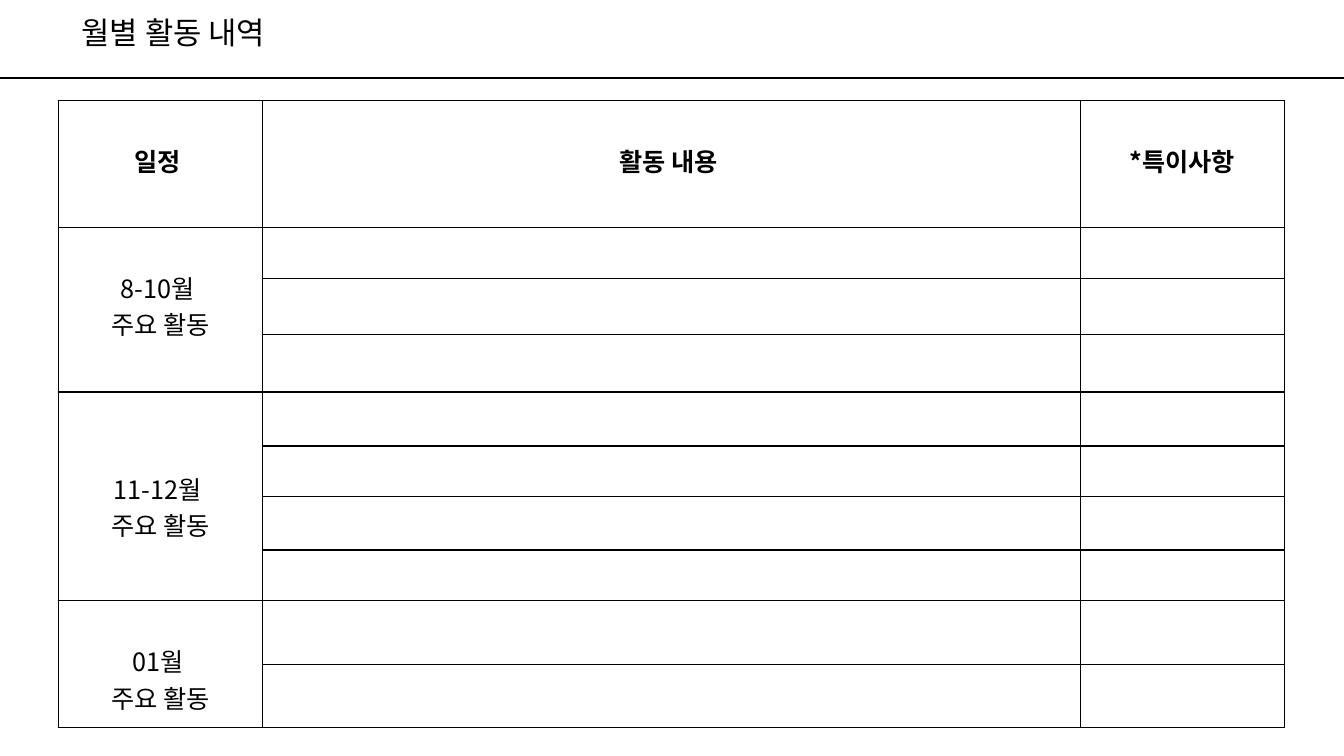
from lxml.etree import SubElement
from pptx import Presentation
from pptx.dml.color import RGBColor
from pptx.enum.shapes import MSO_CONNECTOR as Connector
from pptx.enum.text import MSO_ANCHOR as Anchor, PP_ALIGN as Align
from pptx.oxml.ns import qn
from pptx.util import Cm, Pt

FONT = "Noto Sans CJK KR"
BLACK, WHITE = "000000", "FFFFFF"
SLIDE_WIDTH, SLIDE_HEIGHT = 33.87, 19.05
COLUMN_WIDTHS = [5.15, 20.6, 5.15]
ROW_HEIGHTS = [3.2, 1.28, 1.41, 1.46, 1.36, 1.27, 1.35, 1.28, 1.6, 1.6]
HEADINGS = ["일정 ", "활동 내용 ", "*특이사항"]
# Period, number of rows, lines left free above the text
PERIODS = [("8-10월 ", 3, 1), ("11-12월 ", 4, 2), ("01월 ", 2, 1)]
CELL_MARGIN, LINE_HEIGHT = 0.13, 0.92


def color(code):
    return RGBColor.from_string(code)


class Page:
    def __init__(self, deck):
        self.slide = deck.slides.add_slide(deck.slide_layouts[6])
        self.text_color = color(BLACK)
        self.line_width = Pt(1)

    def add_words(self, para, words, size, bold=False):
        para.alignment = Align.CENTER
        span = para.add_run()
        span.text = words
        span.font.name = FONT
        span.font.size = Pt(size)
        span.font.bold = bold
        span.font.color.rgb = self.text_color
        SubElement(span.font._element, qn("a:ea"), typeface=FONT)

    def title(self, words, left, top, width, height):
        box = self.slide.shapes.add_textbox(Cm(left), Cm(top), Cm(width), Cm(height))
        box.text_frame.word_wrap = True
        para = box.text_frame.paragraphs[0]
        para.line_spacing = 0.9
        self.add_words(para, words, 22)

    def rule(self, top):
        line = self.slide.shapes.add_connector(
            Connector.STRAIGHT, 0, Cm(top), Cm(SLIDE_WIDTH), Cm(top))
        line.line.color.rgb = color(BLACK)
        line.line.width = self.line_width
        SubElement(line._element.spPr, qn("a:effectLst"))

    def table(self, left, top, widths, heights):
        frame = self.slide.shapes.add_table(
            len(heights), len(widths), Cm(left), Cm(top), Cm(sum(widths)), Cm(sum(heights)))
        table = frame.table
        for column, width in zip(table.columns, widths):
            column.width = Cm(width)
        for row, height in zip(table.rows, heights):
            row.height = Cm(height)
        for cell in table.iter_cells():
            self.border(cell)
            cell.fill.solid()
            cell.fill.fore_color.rgb = color(WHITE)
        return table

    def border(self, cell):
        properties = cell._tc.get_or_add_tcPr()
        for side in ("a:lnL", "a:lnR", "a:lnT", "a:lnB"):
            line = SubElement(properties, qn(side), w=str(self.line_width))
            fill = SubElement(line, qn("a:solidFill"))
            SubElement(fill, qn("a:srgbClr"), val=BLACK)

    def fill_cell(self, cell, lines, free_lines, bold=False):
        cell.vertical_anchor = Anchor.TOP
        cell.margin_top = Cm(CELL_MARGIN + free_lines * LINE_HEIGHT)
        frame = cell.text_frame
        for index, words in enumerate(lines):
            para = frame.add_paragraph() if index else frame.paragraphs[0]
            self.add_words(para, words, 18, bold)


def main():
    deck = Presentation()
    deck.slide_width, deck.slide_height = Cm(SLIDE_WIDTH), Cm(SLIDE_HEIGHT)
    page = Page(deck)
    page.title("월별 활동 내역", 0, 0.33, 8.74, 1.07)
    page.rule(1.97)

    schedule = page.table(1.47, 2.53, COLUMN_WIDTHS, ROW_HEIGHTS)
    for column, heading in enumerate(HEADINGS):
        page.fill_cell(schedule.cell(0, column), [heading], 1, bold=True)
    first = 1
    for period, count, free_lines in PERIODS:
        cell = schedule.cell(first, 0)
        cell.merge(schedule.cell(first + count - 1, 0))
        page.fill_cell(cell, [period, "주요 활동"], free_lines)
        first += count
    deck.save("out.pptx")


if __name__ == "__main__":
    main()
